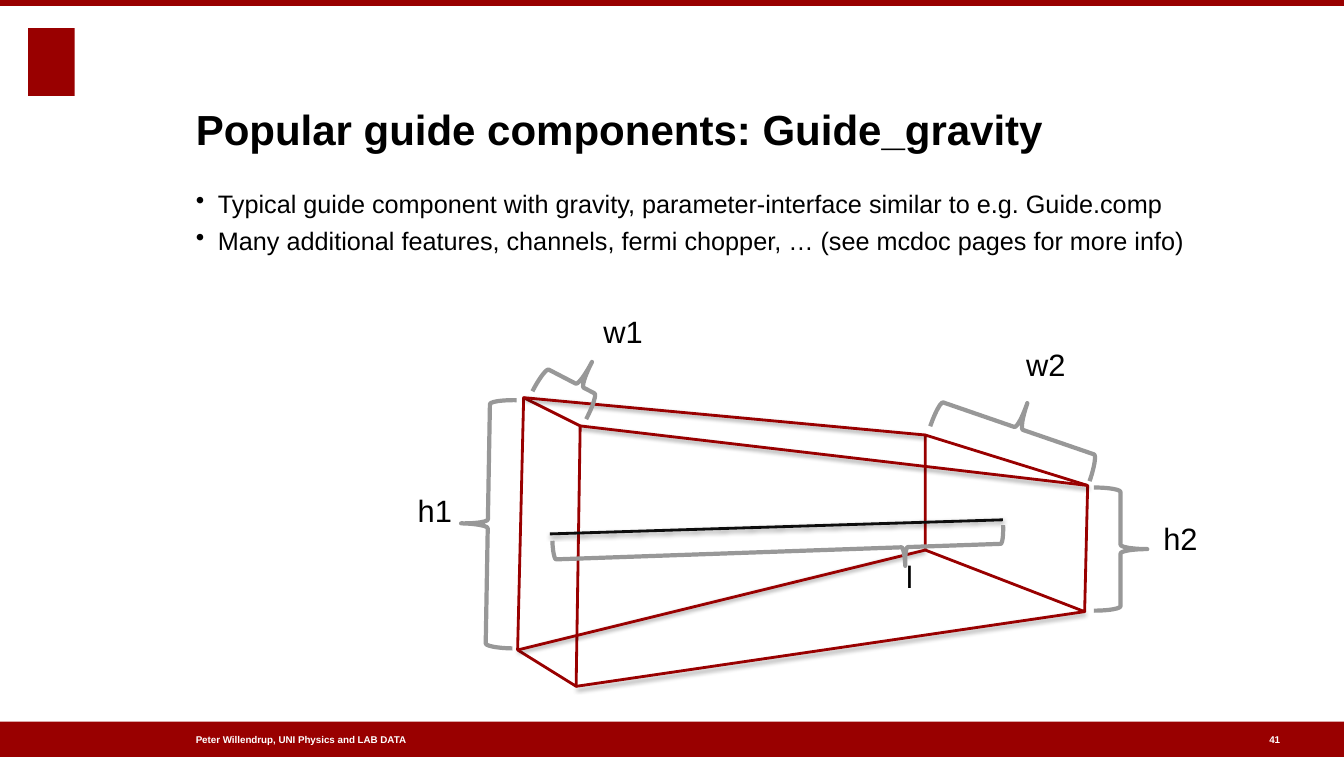
from dataclasses import dataclass

from lxml.etree import SubElement as Sub
from pptx import Presentation
from pptx.dml.color import RGBColor as Rgb
from pptx.enum.shapes import MSO_CONNECTOR as Link, MSO_SHAPE as Kind
from pptx.enum.text import MSO_ANCHOR as Anchor, MSO_AUTO_SIZE as Fit, PP_ALIGN as Align
from pptx.oxml.ns import qn
from pptx.util import Inches, Pt


@dataclass(frozen=True)
class Theme:
    font: str = "Arial"
    red: str = "990000"
    gray: str = "989898"
    ink: str = "000000"
    axis: str = "0D0D0D"
    white: str = "FFFFFF"
    head: float = 30
    label: float = 22
    body: float = 18
    foot: float = 7
    edge: float = 2
    brace: float = 3


theme = Theme()

# All lengths are in cells of a grid of 133.2 columns by 75 rows.
COLS, ROWS = 133.2, 75
LEFT, WIDE = 19.4, 101.8

TITLE = "Popular guide components: Guide_gravity"
POINTS = [
    "Typical guide component with gravity, parameter-interface similar to e.g. Guide.comp",
    "Many additional features, channels, fermi chopper, … (see mcdoc pages for more info)",
]
FOOT = [  # text, left, width
    ("Peter Willendrup, UNI Physics and LAB DATA", LEFT, 37.2),
    ("41", 125.8, 3),
]
BLOCKS = [  # left, top, width, height
    (2.8, 2.8, 4.6, 6.7),
    (0, ROWS - 3.5, COLS, 3.5),
    (0, 0, COLS, 0.6),
]

# Matching corners of the guide's entry and exit, clockwise from the top left
ENTRY = [(51.9, 39.4), (57.5, 42.2), (57.1, 68), (51.3, 64.4)]
EXIT = [(91.7, 43.1), (107.8, 48.1), (107.5, 60.6), (91.7, 54.5)]
AXIS = (54.5, 52.9), (99.4, 51.5)

LABELS = [  # text, left, top
    ("h1", 41.4, 48.7),
    ("h2", 115.3, 51.5),
    ("w1", 59.8, 31),
    ("w2", 101.7, 34.2),
    ("l", 89.8, 55.3),
]
BRACES = [  # left, top, width, height, turn, place of the tip
    (108.4, 48.3, 5.3, 12.2, 180, 0.5),
    (54, 34.8, 5.3, 6, 117.4, 0.35),
    (98.3, 34.1, 5.3, 16.7, 109, 0.5),
    (45.7, 39.6, 5.3, 24.6, 1, 0.5),
    (75.3, 32.3, 3.7, 44.7, 268, 0.78),
]


def cells(*nums):
    return [Inches(n / 10) for n in nums]


def tint(color):
    return Rgb.from_string(color)


def stroke(line, color, width):
    line.color.rgb = tint(color)
    line.width = Pt(width)


def paint(shape, color):
    shape.shadow.inherit = False
    shape.fill.solid()
    shape.fill.fore_color.rgb = tint(color)


def style(para, size, color=theme.ink, bold=False):
    para.alignment = Align.LEFT
    font = para.font
    font.name, font.size, font.bold = theme.font, Pt(size), bold
    font.color.rgb = tint(color)


def setup(frame, anchor=Anchor.TOP):
    """Clear the margins of a text frame and let it wrap."""
    frame.margin_left = frame.margin_right = 0
    frame.margin_top = frame.margin_bottom = 0
    frame.word_wrap = True
    frame.auto_size = Fit.NONE
    frame.vertical_anchor = anchor


def write(slide, box, lines, size, anchor=Anchor.TOP, **look):
    frame = slide.shapes.add_textbox(*cells(*box)).text_frame
    setup(frame, anchor)
    frame.text = "\n".join(lines)
    for para in frame.paragraphs:
        style(para, size, **look)
    return frame.paragraphs


def bullet(para):
    para.space_before = Pt(4.5)
    props = para._p.get_or_add_pPr()
    props.set("marL", str(Inches(0.22)))
    props.set("indent", str(-Inches(0.22)))
    Sub(props, qn("a:buChar"), char="•")


def face(slide, corners):
    first, *rest = [cells(*spot) for spot in corners]
    draft = slide.shapes.build_freeform(*first)
    draft.add_line_segments(rest, close=True)
    shape = draft.convert_to_shape()
    paint(shape, theme.white)
    stroke(shape.line, theme.red, theme.edge)


def beam(slide, start, end, color):
    """Draw a straight line with a soft shadow below it."""
    line = slide.shapes.add_connector(Link.STRAIGHT, *cells(*start, *end))
    stroke(line.line, color, theme.edge)
    effects = Sub(line._element.spPr, qn("a:effectLst"))
    shade = Sub(effects, qn("a:outerShdw"), blurRad=str(Pt(3)),
                dist=str(Pt(1.6)), dir="5400000", rotWithShape="0")
    tone = Sub(shade, qn("a:srgbClr"), val=theme.ink)
    Sub(tone, qn("a:alpha"), val="38000")


def brace(slide, *box, turn, tip):
    shape = slide.shapes.add_shape(Kind.LEFT_BRACE, *cells(*box))
    shape.rotation = turn
    shape.adjustments[1] = tip
    shape.shadow.inherit = False
    shape.fill.background()
    stroke(shape.line, theme.gray, theme.brace)


def main():
    deck = Presentation()
    deck.slide_width, deck.slide_height = cells(COLS, ROWS)
    slide = deck.slides.add_slide(deck.slide_layouts[5])

    title = slide.shapes.title
    title.left, title.top, title.width, title.height = cells(LEFT, 4.7, WIDE, 10.6)
    setup(title.text_frame, Anchor.BOTTOM)
    title.text_frame.text = TITLE
    style(title.text_frame.paragraphs[0], theme.head, bold=True)

    for box in BLOCKS:
        block = slide.shapes.add_shape(Kind.RECTANGLE, *cells(*box))
        paint(block, theme.red)
        block.line.fill.background()
    for text, left, width in FOOT:
        write(slide, (left, 72.6, width, 1.4), [text], theme.foot,
              Anchor.MIDDLE, color=theme.white, bold=True)

    for corners in (ENTRY, EXIT):
        face(slide, corners)
    for start, end in zip(ENTRY, EXIT):
        beam(slide, start, end, theme.red)
    beam(slide, *AXIS, theme.axis)
    for *box, turn, tip in BRACES:
        brace(slide, *box, turn=turn, tip=tip)
    for text, left, top in LABELS:
        write(slide, (left, top, 13.3, 3.5), [text], theme.label)

    for para in write(slide, (LEFT, 18.7, WIDE, 8), POINTS, theme.body):
        bullet(para)
    deck.save("out.pptx")


if __name__ == "__main__":
    main()
